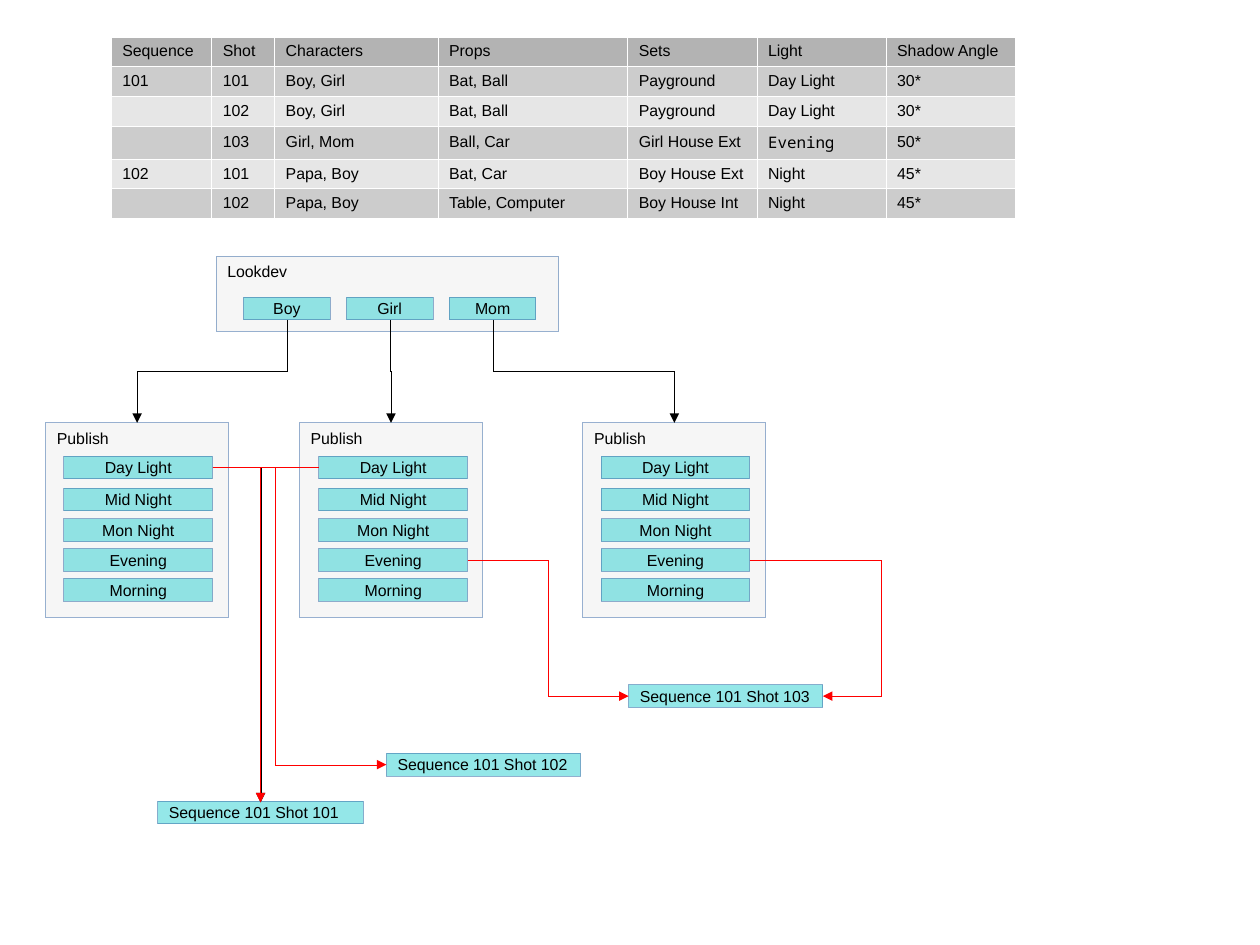
from dataclasses import dataclass
from lxml.etree import SubElement
from pptx import Presentation
from pptx.dml.color import RGBColor
from pptx.enum.shapes import MSO_CONNECTOR as Conn, MSO_SHAPE as Shape
from pptx.enum.text import MSO_ANCHOR as Anchor, PP_ALIGN as Align
from pptx.oxml.ns import qn
from pptx.util import Cm, Emu, Pt

PX = 9144  # 100 px to the inch
COLORS = {"panel": "EEEEEE", "button": "2BD0D2", "outline": "3465A4", "black": "000000",
          "red": "FF0000", "white": "FFFFFF", "header": "B3B3B3", "odd": "CCCCCC",
          "even": "E6E6E6"}
LIGHTS = ["Day Light", "Mid Night", "Mon Night", "Evening", "Morning"]
LIGHT_TOPS = [399, 427, 454, 480, 506]
COLUMNS = [88, 55, 143, 166, 113, 113, 113]
ROWS = [
    ["Sequence", "Shot", "Characters", "Props", "Sets", "Light", "Shadow Angle"],
    ["101", "101", "Boy, Girl", "Bat, Ball", "Payground", "Day Light", "30*"],
    ["", "102", "Boy, Girl", "Bat, Ball", "Payground", "Day Light", "30*"],
    ["", "103", "Girl, Mom", "Ball, Car", "Girl House Ext", "Evening", "50*"],
    ["102", "101", "Papa, Boy", "Bat, Car", "Boy House Ext", "Night", "45*"],
    ["", "102", "Papa, Boy", "Table, Computer", "Boy House Int", "Night", "45*"],
]


@dataclass
class Box:
    text: str
    x: int
    y: int
    w: int
    h: int = 20
    fill: str = "button"
    align: Align = Align.CENTER
    anchor: Anchor = Anchor.MIDDLE


@dataclass
class Arrow:
    x1: int
    y1: int
    x2: int
    y2: int
    color: str = "red"
    preset: str = "bentConnector3"
    bend: float = 0.5
    downward: bool = False  # leaves its start vertically


def px(n: float) -> Emu:
    return Emu(round(n * PX))


def rgb(name: str) -> RGBColor:
    return RGBColor.from_string(COLORS[name])


def style_text(p, text: str, align: Align, font: str = "Arial") -> None:
    p.text = text
    p.alignment = align
    p.font.size, p.font.name = Pt(10), font
    p.font.color.rgb = rgb("black")


def style_hairline(line, color: str):
    line.color.rgb = rgb(color)
    ln = line._get_or_add_ln()
    ln.set("w", "0")  # the width property leaves zero out
    return ln


def add_box(s, box: Box) -> None:
    sp = s.shapes.add_shape(Shape.RECTANGLE, px(box.x), px(box.y), px(box.w), px(box.h))
    sp.shadow.inherit = False
    sp.fill.solid()
    sp.fill.fore_color.rgb = rgb(box.fill)
    style_hairline(sp.line, "outline")
    for color in list(sp.element.spPr.iter(qn("a:srgbClr"))):
        SubElement(color, qn("a:alpha"), val="50000")
    tf = sp.text_frame
    tf.word_wrap = False
    tf.vertical_anchor = box.anchor
    style_text(tf.paragraphs[0], box.text, box.align)


def add_arrow(s, a: Arrow) -> None:
    cx = s.shapes.add_connector(Conn.ELBOW, px(a.x1), px(a.y1), px(a.x2), px(a.y2))
    ln = style_hairline(cx.line, a.color)
    SubElement(ln, qn("a:tailEnd"), type="triangle")
    spPr = cx._element.spPr
    SubElement(spPr, qn("a:effectLst"))
    geom, xfrm = spPr.find(qn("a:prstGeom")), spPr.find(qn("a:xfrm"))
    geom.set("prst", a.preset)
    if a.bend != 0.5:
        guides = geom.find(qn("a:avLst"))
        SubElement(guides, qn("a:gd"), name="adj1", fmla=f"val {round(a.bend * 100000)}")
    if a.downward:  # turn the frame a quarter about its centre
        w, h = a.y2 - a.y1, abs(a.x2 - a.x1)
        cx.left, cx.top = px((a.x1 + a.x2 - w) / 2), px((a.y1 + a.y2 - h) / 2)
        cx.width, cx.height = px(w), px(h)
        leftward = a.x2 < a.x1
        xfrm.set("rot", "5400000" if leftward else "16200000")
        xfrm.set("flipH", "0" if leftward else "1")


def add_shot_table(s) -> None:
    frame = s.shapes.add_table(len(ROWS), len(COLUMNS), px(97), px(32),
                               px(sum(COLUMNS)), px(26 * len(ROWS)))
    table = frame.table
    for column, width in zip(table.columns, COLUMNS):
        column.width = px(width)
    for i, row in enumerate(ROWS):
        fill = "header" if i == 0 else "odd" if i % 2 else "even"
        for j, text in enumerate(row):
            cell = table.cell(i, j)
            cell.vertical_anchor = Anchor.MIDDLE
            mono = text == "Evening"
            p = cell.text_frame.paragraphs[0]
            style_text(p, text, Align.JUSTIFY if mono else Align.LEFT,
                       "Noto Sans Mono" if mono else "Arial")
            if not text:
                SubElement(p._p, qn("a:endParaRPr"), sz="1000")
            tcPr = cell._tc.get_or_add_tcPr()
            for side in ("lnL", "lnR", "lnT", "lnB"):
                ln = SubElement(tcPr, qn(f"a:{side}"), w="720")
                paint = SubElement(ln, qn("a:solidFill"))
                SubElement(paint, qn("a:srgbClr"), val=COLORS["white"])
            cell.fill.solid()
            cell.fill.fore_color.rgb = rgb(fill)


def panel(text: str, x: int, y: int, w: int, h: int) -> Box:
    return Box(text, x, y, w, h, "panel", Align.LEFT, Anchor.TOP)


def main() -> None:
    prs = Presentation()
    prs.slide_width, prs.slide_height = Cm(28), Cm(21)
    s = prs.slides.add_slide(prs.slide_layouts[6])

    # Shot breakdown
    add_shot_table(s)

    # Lookdev characters
    add_box(s, panel("Lookdev", 189, 224, 300, 66))
    for i, name in enumerate(["Boy", "Girl", "Mom"]):
        add_box(s, Box(name, 213 + 90 * i, 260, 76))

    # Published light setups
    for panel_x, button_x in [(40, 56), (262, 279), (510, 526)]:
        add_box(s, panel("Publish", panel_x, 370, 160, 170))
        for light, top in zip(LIGHTS, LIGHT_TOPS):
            add_box(s, Box(light, button_x, top, 130))

    # Shots
    for shot, x, y, w in [(101, 138, 701, 180), (102, 338, 659, 170), (103, 550, 599, 170)]:
        add_box(s, Box(f"Sequence 101 Shot {shot}", x, y, w, align=Align.LEFT))

    # Character to publish, then light to shot
    for arrow in [
        Arrow(251, 280, 120, 370, "black", downward=True),
        Arrow(341, 280, 342, 370, "black", downward=True),
        Arrow(431, 280, 590, 370, "black", downward=True),
        Arrow(186, 409, 228, 702, "black", "bentConnector2"),
        Arrow(279, 409, 228, 702, preset="bentConnector2"),
        Arrow(186, 409, 338, 669, bend=0.36),
        Arrow(409, 490, 550, 609),
        Arrow(656, 490, 720, 609, bend=1.79),
    ]:
        add_arrow(s, arrow)

    prs.save("out.pptx")


if __name__ == "__main__":
    main()
